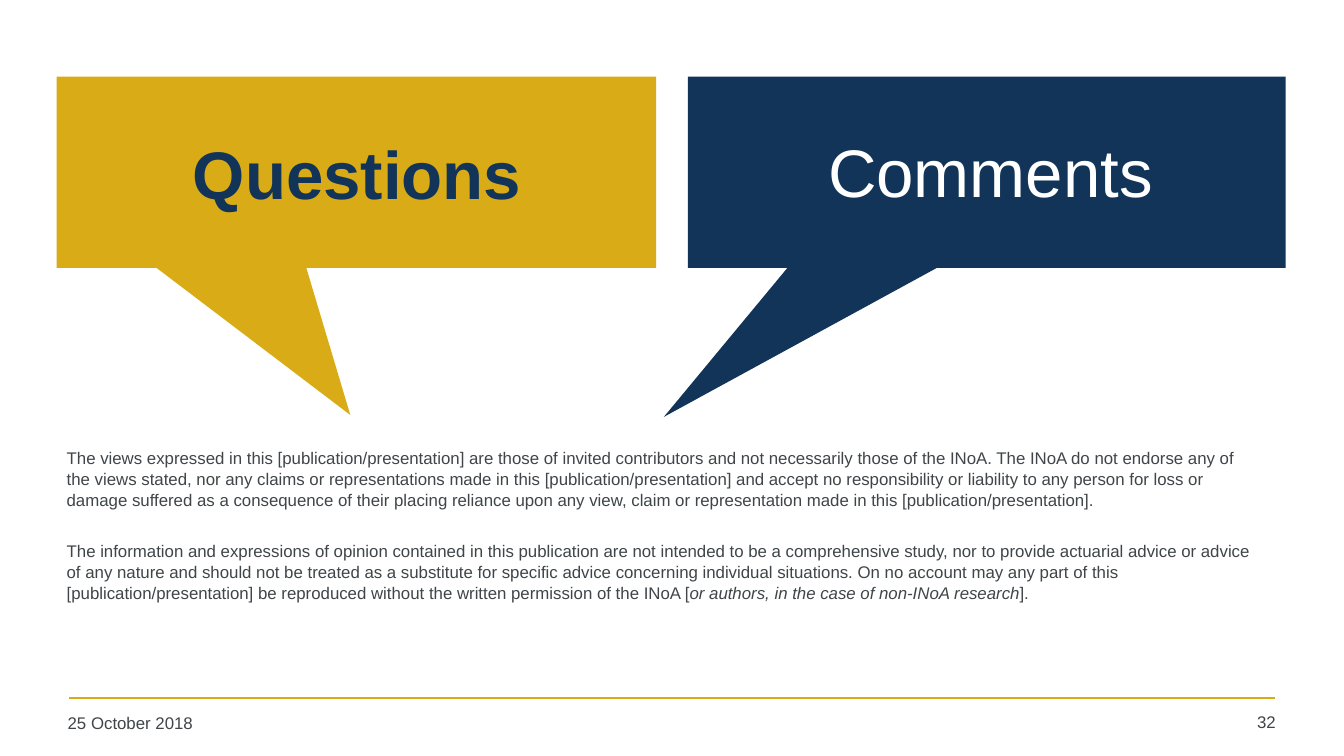
from lxml import etree
from pptx import Presentation
from pptx.dml.color import RGBColor
from pptx.enum.shapes import MSO_CONNECTOR, MSO_SHAPE
from pptx.enum.text import MSO_ANCHOR, MSO_AUTO_SIZE, PP_ALIGN
from pptx.oxml.ns import qn
from pptx.util import Cm, Pt

CALLOUT = MSO_SHAPE.RECTANGULAR_CALLOUT
STRAIGHT = MSO_CONNECTOR.STRAIGHT
TOP, MIDDLE = MSO_ANCHOR.TOP, MSO_ANCHOR.MIDDLE
LEFT, CENTER, RIGHT = PP_ALIGN.LEFT, PP_ALIGN.CENTER, PP_ALIGN.RIGHT
NO_FIT = MSO_AUTO_SIZE.NONE

FONT = "Arial"
COLORS = {"gold": "D9AB16", "navy": "113458", "grey": "3F4548", "white": "FFFFFF"}
SLIDE_SIZE = (25.4, 14.28)
CALLOUT_TOP, CALLOUT_HEIGHT = 1.45, 3.61

DISCLAIMER = [
    [("The views expressed in this [publication/presentation] are those of invited "
      "contributors and not necessarily those of the INoA. The INoA do not endorse any "
      "of the views stated, nor any claims or representations made in this "
      "[publication/presentation] and accept no responsibility or liability to any "
      "person for loss or damage suffered as a consequence of their placing reliance "
      "upon any view, claim or representation made in this "
      "[publication/presentation].", False)],
    [("The information and expressions of opinion contained in this publication are not "
      "intended to be a comprehensive study, nor to provide actuarial advice or advice "
      "of any nature and should not be treated as a substitute for specific advice "
      "concerning individual situations. On no account may any part of this "
      "[publication/presentation] be reproduced without the written permission of the "
      "INoA [", False),
     ("or authors, in the case of non-INoA research", True),
     ("].", False)],
]


def rgb(name):
    return RGBColor.from_string(COLORS[name])


def place(element, left, top, width, height):
    element.left, element.top = Cm(left), Cm(top)
    element.width, element.height = Cm(width), Cm(height)


def write(element, paragraphs, size=9, color="grey", bold=False, align=LEFT,
          anchor=TOP, gap=0, line_spacing=1.0):
    frame = element.text_frame
    frame.word_wrap = True
    frame.auto_size = NO_FIT
    frame.vertical_anchor = anchor
    frame.margin_left = frame.margin_right = Cm(0.19)
    frame.margin_top = frame.margin_bottom = Cm(0.1)
    for index, passages in enumerate(paragraphs):
        paragraph = frame.add_paragraph() if index else frame.paragraphs[0]
        paragraph.alignment = align
        paragraph.line_spacing = line_spacing
        paragraph.space_before = Pt(gap if index else 0)
        paragraph.space_after = Pt(0)
        for passage, italic in passages:
            run = paragraph.add_run()
            run.text = passage
            run.font.name = FONT
            run.font.size = Pt(size)
            run.font.bold = bold
            run.font.italic = italic
            run.font.color.rgb = rgb(color)


def add_label(slide, text, box, **text_format):
    label = slide.shapes.add_textbox(*map(Cm, box))
    write(label, [[(text, False)]], **text_format)


def add_rule(slide, left, right, y, color):
    rule = slide.shapes.add_connector(STRAIGHT, Cm(left), Cm(y), Cm(right), Cm(y))
    rule.line.color.rgb = rgb(color)
    rule.line.width = Pt(1)
    etree.SubElement(rule._element.spPr, qn("a:effectLst"))


def add_callout(slide, left, width, tip, color):
    callout = slide.shapes.add_shape(
        CALLOUT, Cm(left), Cm(CALLOUT_TOP), Cm(width), Cm(CALLOUT_HEIGHT))
    callout.adjustments[0], callout.adjustments[1] = tip
    callout.shadow.inherit = False
    callout.fill.solid()
    callout.fill.fore_color.rgb = rgb(color)
    callout.line.fill.background()


def fill_disclaimer(body):
    place(body, 1.07, 8.33, 22.91, 4.9)
    write(body, DISCLAIMER, gap=15.7, line_spacing=1.05)
    for paragraph in body.text_frame.paragraphs:
        properties = paragraph._p.get_or_add_pPr()
        properties.set("marL", "0")
        properties.set("indent", "0")
        etree.SubElement(properties, qn("a:buNone"))


def fill_title(slide, text):
    title = slide.shapes.title
    place(title, 1.57, 2.06, 10.36, 2.39)
    write(title, [[(text, False)]], size=36, color="navy", bold=True,
          align=CENTER, anchor=MIDDLE)
    slide.shapes._spTree.append(title._element)


def main():
    presentation = Presentation()
    presentation.slide_width, presentation.slide_height = map(Cm, SLIDE_SIZE)
    slide = presentation.slides.add_slide(presentation.slide_layouts[1])

    add_rule(slide, 1.3, 24.1, 13.18, "gold")
    add_label(slide, "25 October 2018", (1.09, 13.36, 5.59, 0.69))
    add_label(slide, "32", (22.5, 13.34, 1.8, 0.71), align=RIGHT)
    fill_disclaimer(slide.placeholders[1])

    add_callout(slide, 1.07, 11.33, (-0.01, 1.27), "gold")
    add_callout(slide, 13.0, 11.3, (-0.54, 1.28), "navy")
    fill_title(slide, "Questions")
    add_label(slide, "Comments", (13.46, 2.03, 10.52, 2.39), size=36, color="white",
              align=CENTER, anchor=MIDDLE)

    presentation.save("out.pptx")


if __name__ == "__main__":
    main()
